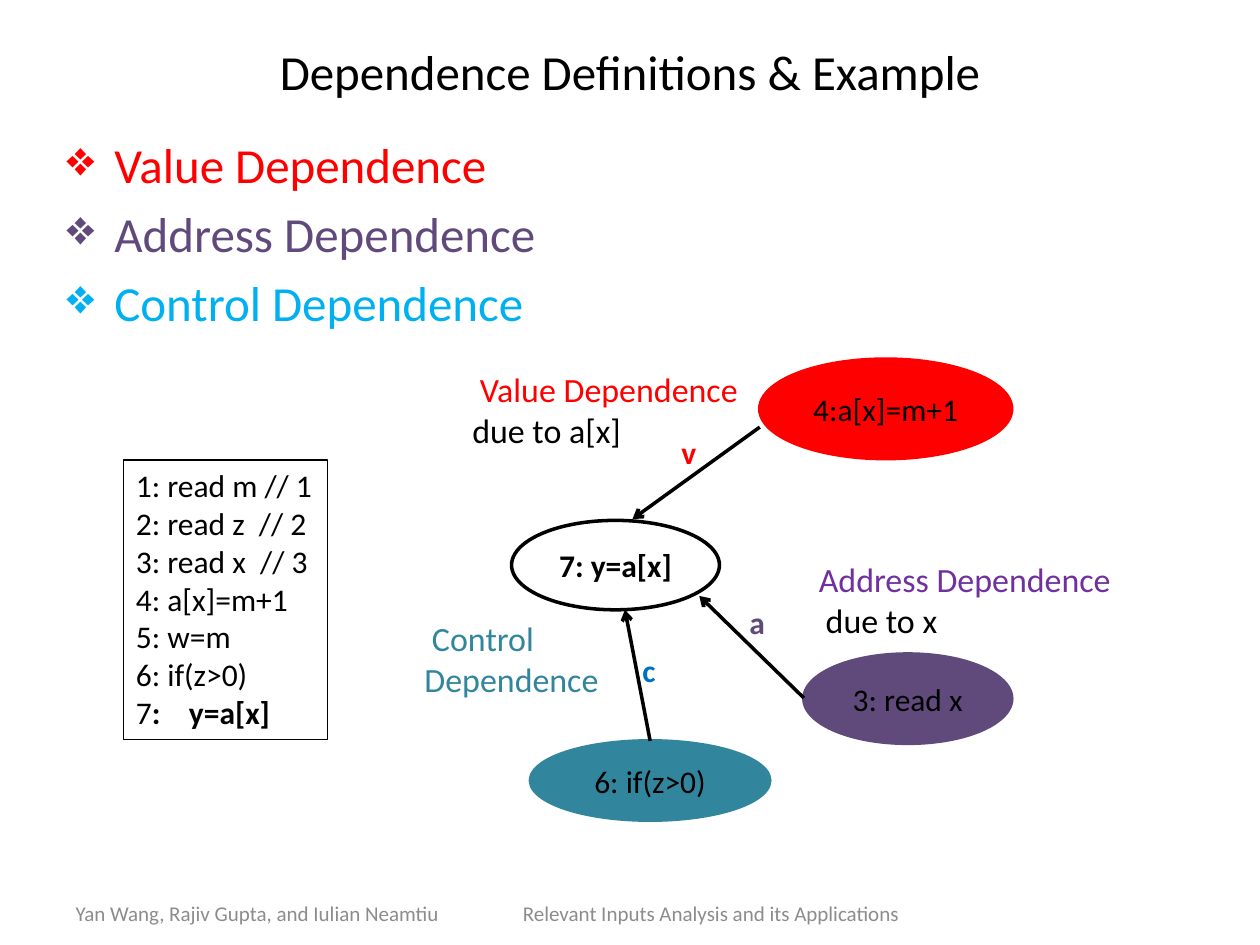
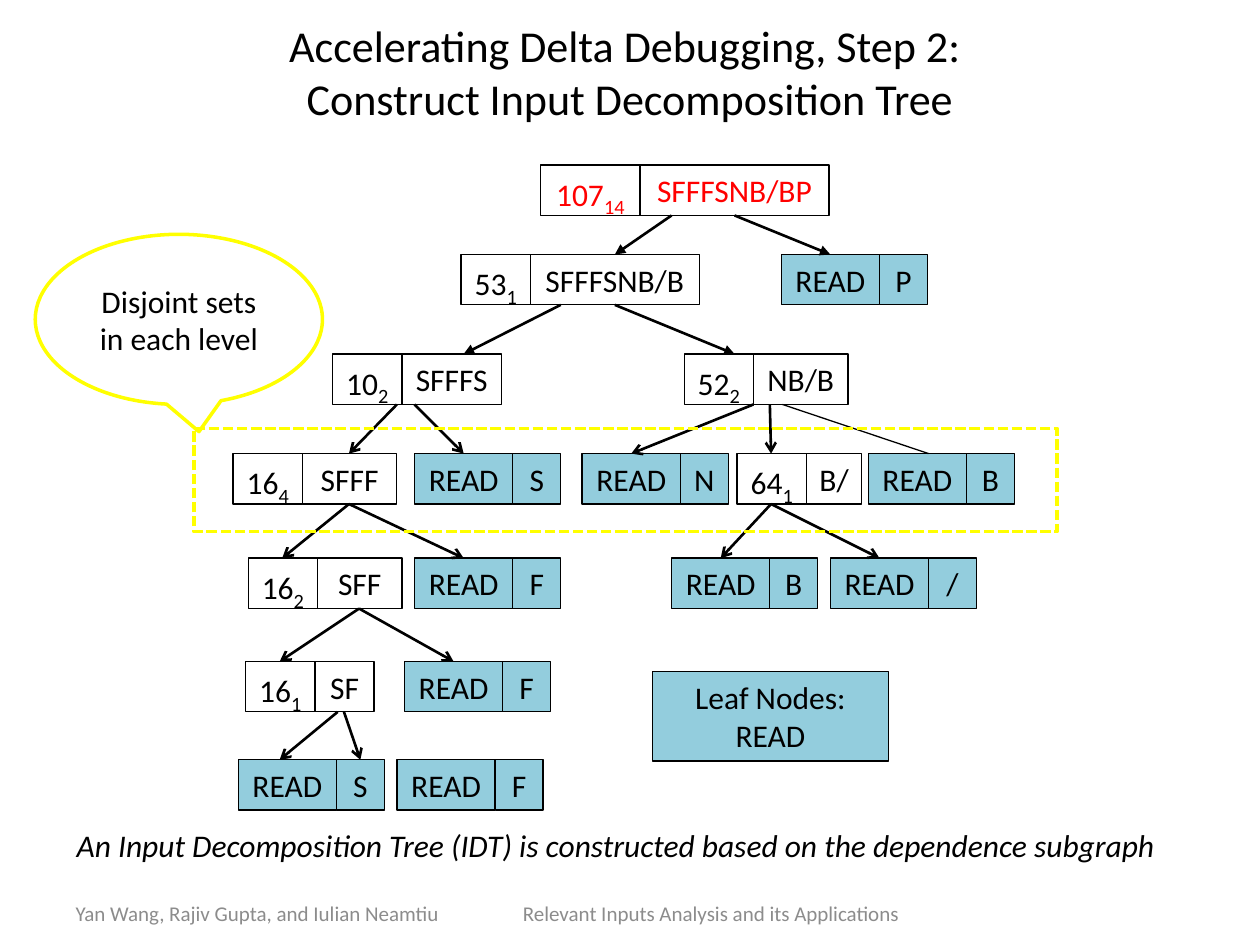
from dataclasses import dataclass

import pptx
import pptx.dml.color
import pptx.enum.dml
import pptx.enum.shapes
import pptx.enum.text
import pptx.oxml.ns
import pptx.util
from lxml import etree

SHAPE = pptx.enum.shapes.MSO_SHAPE
ALIGN = pptx.enum.text.PP_ALIGN
ANCHOR = pptx.enum.text.MSO_ANCHOR
COLUMNS, ROWS = 100, 75
CELL = pptx.util.Inches(0.1)


@dataclass(frozen=True)
class Theme:
    font: str = "Calibri"
    ink: str = "000000"
    muted: str = "8C8C8C"
    red: str = "FF0000"
    purple: str = "604A7B"
    violet: str = "7030A0"
    teal: str = "31859C"
    sky: str = "00B0F0"
    blue: str = "0070C0"
    leaf: str = "93CDDD"
    yellow: str = "FFFF00"
    title: float = 28
    long_title: float = 25.2
    text: float = 18
    label: float = 19.4
    subscript: float = 20
    footer: float = 12
    thin: float = 0.75
    medium: float = 1.5
    thick: float = 2


THEME = Theme()


@dataclass(frozen=True)
class Box:
    """An area in grid columns and rows."""
    left: float
    top: float
    width: float
    height: float

    def inner(self, left, top, width, height):
        return Box(self.left + left, self.top + top, width, height)

    def point(self, x, y):
        return cells(self.left + x), cells(self.top + y)

    def place(self):
        return [cells(n) for n in (self.left, self.top, self.width, self.height)]


def cells(count):
    return round(count * CELL)


def rgb(value):
    return pptx.dml.color.RGBColor.from_string(value)


def sub(parent, tag, **attributes):
    return etree.SubElement(parent, pptx.oxml.ns.qn(tag), attributes)


def style(font, size=None, color=None, bold=None, italic=None):
    if size:
        font.size = pptx.util.Pt(size)
    if color:
        font.color.rgb = rgb(color)
    font.bold, font.italic = bold, italic


def write(shape, lines, size=THEME.text, color=THEME.ink, bold=None, italic=None,
          align=ALIGN.LEFT, anchor=ANCHOR.TOP, wrap=False):
    """Fill a shape with one paragraph per line and return the paragraphs."""
    frame = shape.text_frame
    frame.word_wrap, frame.vertical_anchor = wrap, anchor
    for index, line in enumerate(lines):
        para = frame.add_paragraph() if index else frame.paragraphs[0]
        para.text = line
        para.alignment = align
    return [set_font(para, size, color, bold, italic) for para in frame.paragraphs]


def set_font(para, size, color, bold=None, italic=None):
    para.font.name = THEME.font
    style(para.font, size, color, bold, italic)
    return para


def add_text(page, box, lines, **options):
    shape = page.shapes.add_textbox(*box.place())
    return shape, write(shape, lines, **options)


def add_shape(page, kind, box, line, width, fill=None):
    shape = page.shapes.add_shape(kind, *box.place())
    shape.shadow.inherit = False
    if fill:
        shape.fill.solid()
        shape.fill.fore_color.rgb = rgb(fill)
    else:
        shape.fill.background()
    shape.line.color.rgb = rgb(line)
    shape.line.width = pptx.util.Pt(width)
    return shape


def add_arrow(page, start, end, width, tip=None):
    arrow = page.shapes.add_connector(
        pptx.enum.shapes.MSO_CONNECTOR.STRAIGHT, *start, *end)
    arrow.line.color.rgb = rgb(THEME.ink)
    arrow.line.width = pptx.util.Pt(width)
    if tip:
        sub(arrow.line._get_or_add_ln(), "a:tailEnd", type=tip)
    sub(arrow._element.spPr, "a:effectLst")


def add_page(deck, title, size):
    """Start a slide with the shared title and footer."""
    page = deck.slides.add_slide(deck.slide_layouts[6])
    add_text(page, Box(0, 0.8, COLUMNS, 9.7), [title], size=size,
             align=ALIGN.CENTER, anchor=ANCHOR.MIDDLE, wrap=True)
    footer = page.shapes.add_textbox(*Box(0, ROWS - 5, 77.5, 5).place())
    footer.text_frame.margin_left = cells(6)
    tabs = sub(footer.text_frame.paragraphs[0]._p.get_or_add_pPr(), "a:tabLst")
    sub(tabs, "a:tab", pos=str(cells(35.5)), algn="l")
    write(footer, ["Yan Wang, Rajiv Gupta, and Iulian Neamtiu\t"
                   "Relevant Inputs Analysis and its Applications"],
          size=THEME.footer, color=THEME.muted, anchor=ANCHOR.MIDDLE, wrap=True)
    return page


def definitions(page, box):
    frame = page.shapes.add_textbox(*box.place()).text_frame
    frame.word_wrap = True
    terms = [("Value", THEME.red), ("Address", THEME.purple), ("Control", THEME.sky)]
    for index, (term, color) in enumerate(terms):
        para = frame.add_paragraph() if index else frame.paragraphs[0]
        para.text = f"{term} Dependence"
        props = para._p.get_or_add_pPr()
        props.set("marL", str(cells(3.8)))
        props.set("indent", str(-cells(3.8)))
        sub(sub(props, "a:buClr"), "a:srgbClr", val=color)
        sub(props, "a:buChar", char="❖")
        set_font(para, THEME.title, color)
        if index:
            para.space_before = pptx.util.Pt(0.2 * THEME.title)


def program(page, box):
    listing = add_shape(page, SHAPE.RECTANGLE, box, THEME.ink, THEME.thin)
    paras = write(listing, ["1: read m // 1", "2: read z  // 2", "3: read x  // 3",
                            "4: a[x]=m+1", "5: w=m", "6: if(z>0)", "7"])
    span = paras[-1].add_run()
    span.text = ":    y=a[x]"
    span.font.bold = True


def statement(page, box, text, fill=None, bold=None):
    oval = add_shape(page, SHAPE.OVAL, box, fill or THEME.ink, THEME.thick, fill)
    write(oval, [text], bold=bold, align=ALIGN.CENTER, anchor=ANCHOR.MIDDLE)


def dependence(page, box, source, arrow, letter, label):
    """Draw one source statement with its arrow, letter and label."""
    area, text, fill = source
    statement(page, box.inner(*area), text, fill)
    add_arrow(page, box.point(*arrow[0]), box.point(*arrow[1]), THEME.thick, "arrow")
    spot, text, color = letter
    add_text(page, box.inner(*spot, 3.3, 4), [text], color=color, bold=True)
    area, lines = label
    _, paras = add_text(page, box.inner(*area), [line[0] for line in lines],
                        size=THEME.label, anchor=ANCHOR.BOTTOM, wrap=True)
    for para, (_, color, indent) in zip(paras, lines):
        para.font.color.rgb = rgb(color)
        para._p.get_or_add_pPr().set("indent", str(cells(indent)))


def dependence_graph(page, box):
    statement(page, box.inner(7.9, 13.6, 16.5, 7.1), "7: y=a[x]", bold=True)
    dependence(page, box,
               ((31.1, 24.2, 16.5, 7.1), "3: read x", THEME.purple),
               ((31.1, 27.7), (22.8, 19.6)),
               ((25.8, 19.7), "a", THEME.purple),
               ((30.7, 15.4, 26.8, 8.2), [("Address Dependence", THEME.violet, 0.6),
                                          ("due to x", THEME.ink, 1.15)]))
    dependence(page, box,
               ((27.6, 0.8, 20, 7.9), "4:a[x]=m+1", THEME.red),
               ((27.6, 6.2), (17.5, 13.5)),
               ((20.4, 6.2), "v", THEME.red),
               ((3.8, 0, 24.5, 8.5), [("Value Dependence", THEME.red, 0.6),
                                      ("due to a[x]", THEME.ink, 0)]))
    dependence(page, box,
               ((9.4, 31.1, 19, 6.3), "6: if(z>0)", THEME.teal),
               ((18.9, 31.1), (16.9, 20.7)),
               ((17.3, 23.5), "c", THEME.blue),
               ((0, 20.1, 16.9, 8.2), [("Control", THEME.teal, 0.6),
                                       ("Dependence", THEME.teal, 0)]))


LEVEL_TOPS = [0, 7.1, 15, 22.9, 31.2, 39.4, 47.2]
NODE_HEIGHT = 4
# level, left, count, subscript, input, width of the input cell
INNER_NODES = [
    (0, 24.4, "107", "14", "SFFFSNB/BP", 15), (1, 18.1, "53", "1", "SFFFSNB/B", 13.4),
    (2, 7.9, "10", "2", "SFFFS", 7.9), (2, 35.8, "52", "2", "NB/B", 7.5),
    (3, 0, "16", "4", "SFFF", 7.5), (3, 40, "64", "1", "B/", 4.4),
    (4, 1.2, "16", "2", "SFF", 6.7), (5, 1, "16", "1", "SF", 4.7),
]
# level, left, input
LEAVES = [
    (1, 43.5, "P"), (3, 14.4, "S"), (3, 27.7, "N"), (3, 50.4, "B"),
    (4, 14.4, "F"), (4, 34.8, "B"), (4, 47.4, "/"),
    (5, 13.6, "F"), (6, 0.4, "S"), (6, 13, "F"),
]
# parent level, start column, end column
LINKS = [
    (0, 34.8, 30.3), (0, 39.8, 47.4), (1, 26, 18.3), (1, 30.3, 39.8),
    (2, 13, 9.2), (2, 14.4, 18.3), (2, 41.3, 31.6), (2, 42.6, 42.7),
    (3, 9.2, 3.9), (3, 9.2, 18.3), (3, 42.7, 38.7), (3, 42.7, 51.3),
    (4, 10, 3.7), (4, 10, 17.5), (5, 8.3, 3.7), (5, 8.8, 10.1),
]
PLAIN_LINK = (2, 43.6, 55.2)


def node(page, box, level, left, cell_texts, widths, color=THEME.ink, fill=None):
    """Draw two adjoining cells and return the paragraph of the first."""
    paras = []
    for text, width in zip(cell_texts, widths):
        area = box.inner(left, LEVEL_TOPS[level], width, NODE_HEIGHT)
        cell = add_shape(page, SHAPE.RECTANGLE, area, THEME.ink, THEME.thin, fill)
        paras += write(cell, [text], color=color, align=ALIGN.CENTER)
        left += width
    return paras[0]


def link(page, box, level, start, end, width, tip=None):
    add_arrow(page, box.point(start, LEVEL_TOPS[level] + NODE_HEIGHT),
              box.point(end, LEVEL_TOPS[level + 1]), width, tip)


def decomposition_tree(page, box):
    for level, left, count, subscript, text, width in INNER_NODES:
        root = level == 0
        para = node(page, box, level, left, (count, text), (7.9 if root else 5.5, width),
                    THEME.red if root else THEME.ink)
        span = para.add_run()
        span.text = subscript
        span.font.size = pptx.util.Pt(THEME.subscript)
        span.font._element.set("baseline", "-25000")
    for level, left, text in LEAVES:
        node(page, box, level, left, ("READ", text), (7.8, 3.8), fill=THEME.leaf)
    for level, start, end in LINKS:
        link(page, box, level, start, end, THEME.medium,
             "triangle" if level < 2 else "arrow")
    link(page, box, *PLAIN_LINK, THEME.thin)


def level_callout(page, box):
    band = add_shape(page, SHAPE.RECTANGLE, box.inner(12.6, 15.4, 68.5, 8.2),
                     THEME.yellow, THEME.thick)
    band.line.dash_style = pptx.enum.dml.MSO_LINE.SQUARE_DOT
    bubble = add_shape(page, SHAPE.OVAL_CALLOUT, box.inner(0, 0, 22.8, 13.5),
                       THEME.yellow, THEME.thick)
    bubble.adjustments[0], bubble.adjustments[1] = 0.07, 0.66
    write(bubble, ["Disjoint sets in each level"], align=ALIGN.CENTER,
          anchor=ANCHOR.MIDDLE, wrap=True)


def leaf_legend(page, box):
    legend = add_shape(page, SHAPE.RECTANGLE, box, THEME.ink, THEME.thin, THEME.leaf)
    write(legend, ["Leaf Nodes: READ"], align=ALIGN.CENTER, wrap=True)


def dependence_page(deck):
    page = add_page(deck, "Dependence Definitions & Example", THEME.title)
    program(page, Box(9.8, 36.5, 16.2, 22.2))
    dependence_graph(page, Box(32.7, 27.7, 57.5, 37.4))
    definitions(page, Box(4.3, 10.2, 41.7, 18.1))


def tree_page(deck):
    page = add_page(deck, "Accelerating Delta Debugging, Step 2: \v"
                          "Construct Input Decomposition Tree", THEME.long_title)
    decomposition_tree(page, Box(18.5, 13.1, 62, 51.2))
    level_callout(page, Box(2.8, 18.6, 81.1, 23.6))
    leaf_legend(page, Box(51.8, 53.3, 18.7, 7.1))
    add_text(page, Box(5.1, 65.1, 89.9, 4),
             ["An Input Decomposition Tree (IDT) is constructed based on "
              "the dependence subgraph"], italic=True)


def main():
    deck = pptx.Presentation()
    deck.slide_width, deck.slide_height = cells(COLUMNS), cells(ROWS)
    dependence_page(deck)
    tree_page(deck)
    deck.save("out.pptx")


if __name__ == "__main__":
    main()
